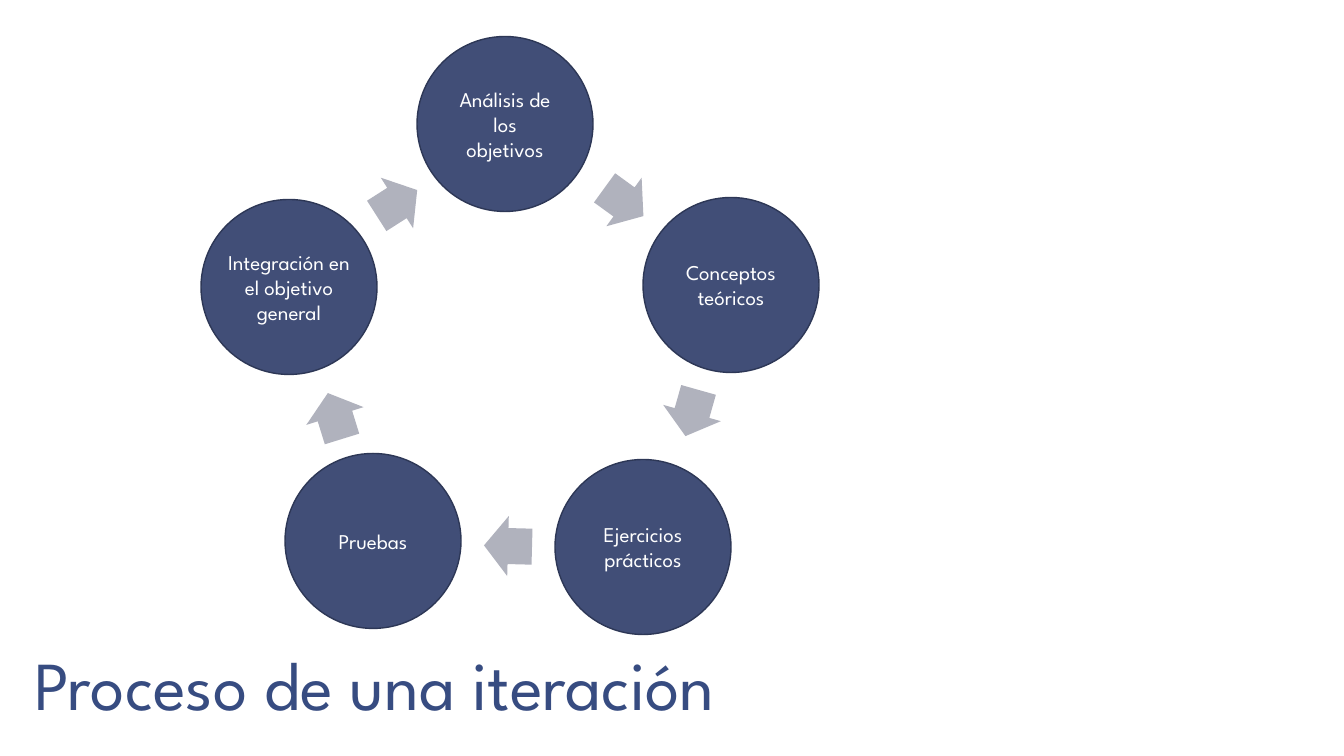
from pptx import Presentation
from pptx.dml.color import RGBColor
from pptx.enum.shapes import MSO_SHAPE
from pptx.enum.text import MSO_ANCHOR, PP_ALIGN
from pptx.util import Pt

OVAL, ARROW = MSO_SHAPE.OVAL, MSO_SHAPE.RIGHT_ARROW
TOP, MIDDLE = MSO_ANCHOR.TOP, MSO_ANCHOR.MIDDLE
LEFT, CENTER = PP_ALIGN.LEFT, PP_ALIGN.CENTER

# Content: lines, circle centre, side and top insets, arrow centre, arrow angle
TITLE = "Proceso de una iteración"
STEPS = [
    (["Análisis de los objetivos"], (505, 124), (10, 5), (624, 202), 36),
    (["Conceptos", "teóricos"], (731, 285), (4, 4), (692, 413), 105.8),
    (["Ejercicios prácticos"], (643, 547), (4, 4), (508, 546), 181.5),
    (["Pruebas"], (373, 541), (4, 4), (335, 416), 252.8),
    (["Integración en el objetivo general"], (289, 287), (0, 4), (397, 203), 327.4),
]
CIRCLE = (176, 175)
ARROW_SIZE = (48, 60)
FONT = "League Spartan"
NAVY, EDGE, GREY, WHITE, BLUE = "414E77", "2D3756", "B0B2BD", "FFFFFF", "374C81"


def px(n):
    return round(n * 914400 / 100.8)


def rgb(value):
    return RGBColor.from_string(value)


def add_centred(kind, centre, size, fill):
    (cx, cy), (w, h) = centre, size
    sp = s.shapes.add_shape(kind, px(cx - w / 2), px(cy - h / 2), px(w), px(h))
    sp.shadow.inherit = False
    sp.fill.solid()
    sp.fill.fore_color.rgb = rgb(fill)
    return sp


def write(sp, lines, insets, size, color, anchor, align, spacing=1.0):
    tf = sp.text_frame
    side, top = map(px, insets)
    frame = dict(word_wrap=True, vertical_anchor=anchor, margin_left=side,
                 margin_right=side, margin_top=top, margin_bottom=top)
    for name, value in frame.items():
        setattr(tf, name, value)
    tf.text = "\n".join(lines)
    for p in tf.paragraphs:
        p.alignment, p.line_spacing = align, spacing
        for r in p.runs:
            r.font.name, r.font.size = FONT, Pt(size)
            r.font.color.rgb = rgb(color)


prs = Presentation()
prs.slide_width, prs.slide_height = px(1344), px(756)
s = prs.slides.add_slide(prs.slide_layouts[6])

# Title
title = s.shapes.add_textbox(px(21), px(648), px(905), px(78))
write(title, [TITLE], (13, 7), 49, BLUE, TOP, LEFT, 0.85)

# Cycle: each step and the arrow to the next
for lines, centre, insets, arrow_centre, angle in STEPS:
    circle = add_centred(OVAL, centre, CIRCLE, NAVY)
    circle.line.color.rgb = rgb(EDGE)
    circle.line.width = Pt(1)
    write(circle, lines, insets, 15, WHITE, MIDDLE, CENTER)

    arrow = add_centred(ARROW, arrow_centre, ARROW_SIZE, GREY)
    arrow.line.fill.background()
    arrow.adjustments[0] = 0.6
    arrow.rotation = angle

prs.save("out.pptx")
